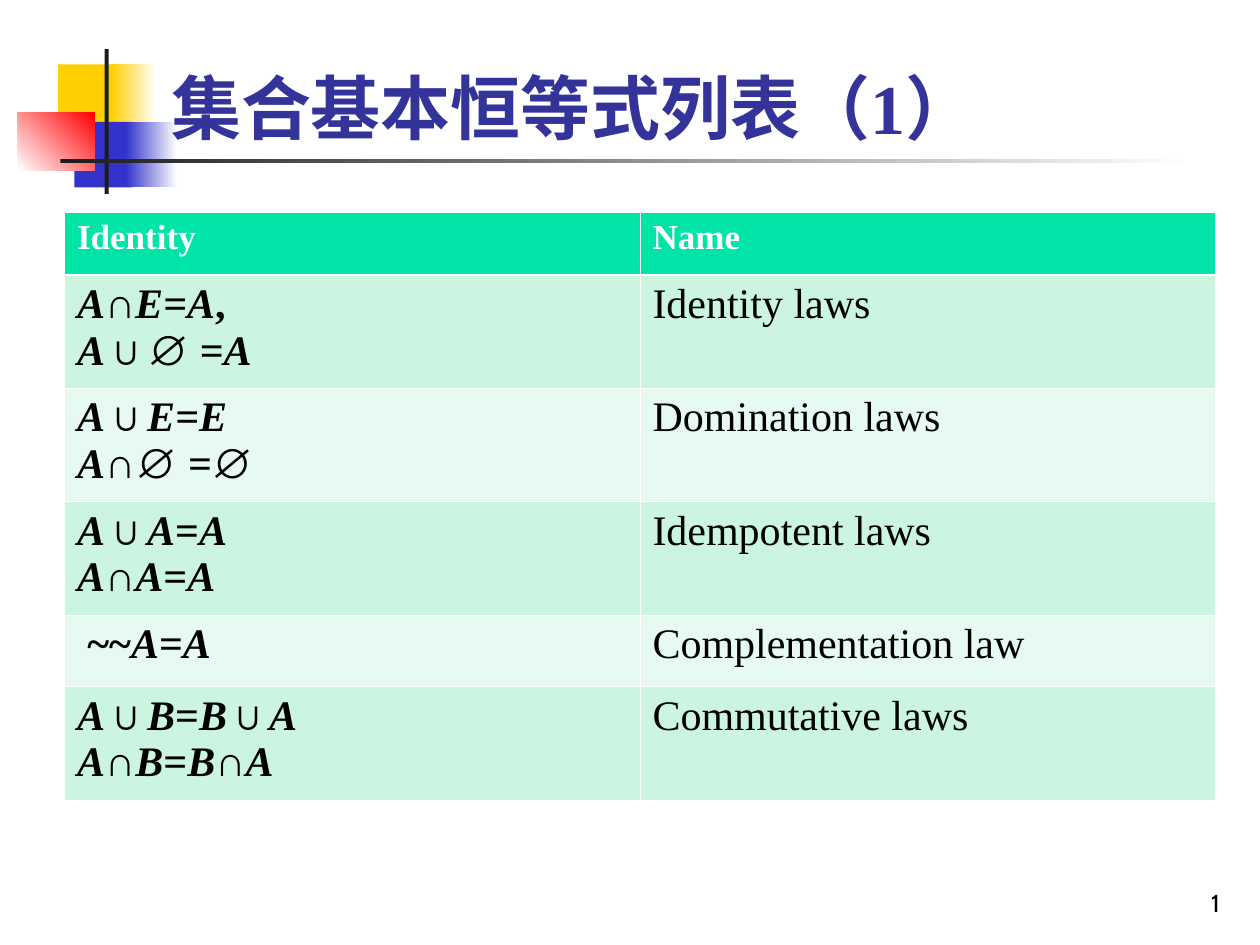
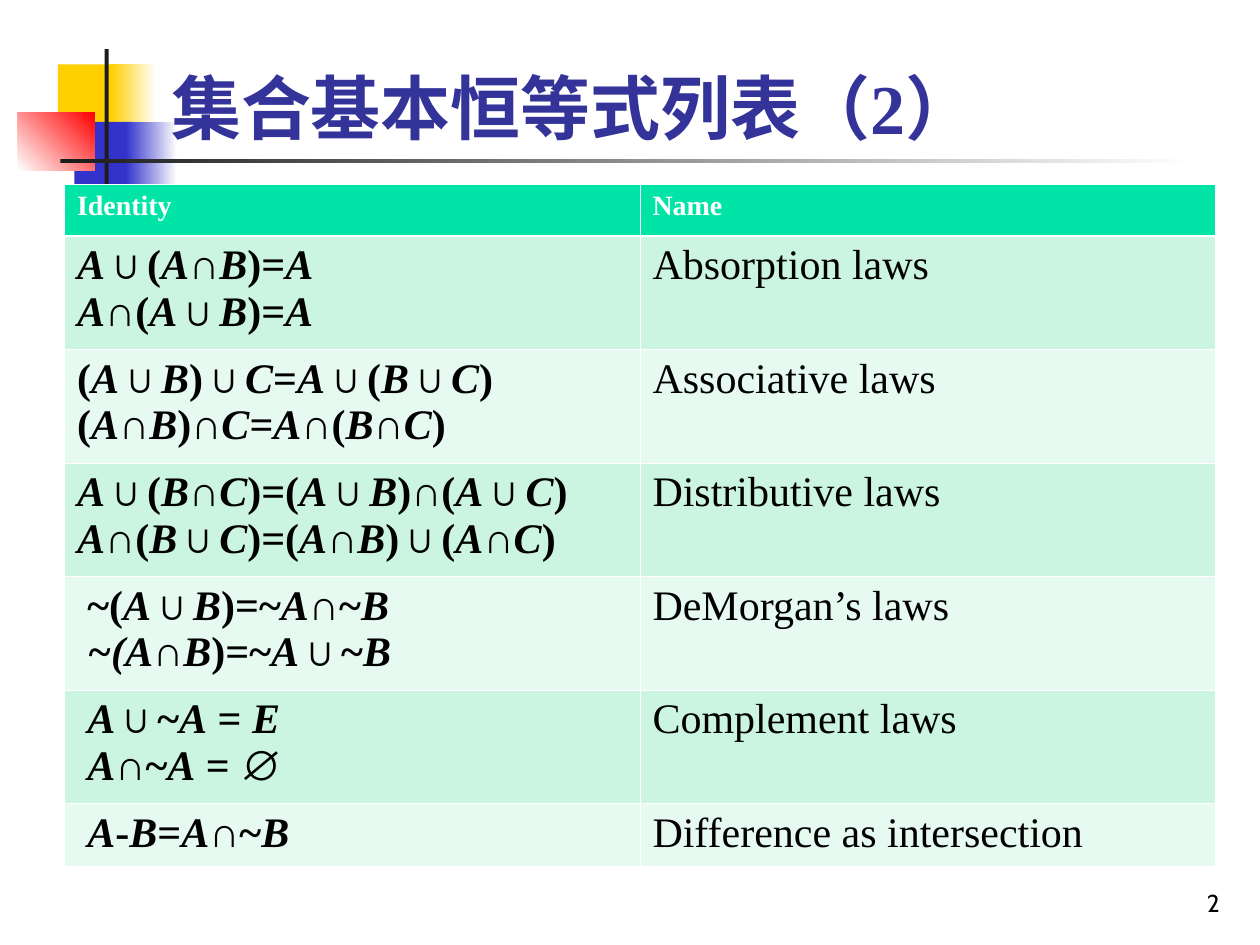
from dataclasses import dataclass
from itertools import groupby

from lxml import etree
from pptx import Presentation
from pptx.dml.color import RGBColor
from pptx.enum.shapes import MSO_SHAPE
from pptx.enum.text import MSO_ANCHOR, PP_ALIGN
from pptx.oxml.ns import qn
from pptx.util import Cm, Pt

RECTANGLE = MSO_SHAPE.RECTANGLE
BOTTOM = MSO_ANCHOR.BOTTOM
LEFT, RIGHT = PP_ALIGN.LEFT, PP_ALIGN.RIGHT
BLANK_LAYOUT = 6
EMPTY_SET = "∅"


@dataclass(frozen=True)
class Theme:
    white: str = "FFFFFF"
    black: str = "000000"
    ink: str = "1C1C1C"
    title: str = "333399"
    yellow: str = "FFCF01"
    blue: str = "3333CC"
    red: str = "FF0000"
    header: str = "00E4A8"
    bands: tuple = ("CBF5E1", "E7FAF1")
    font: str = "Times New Roman"
    symbol_font: str = "Arial"
    number_font: str = "Cabin"
    title_size: int = 40
    body_size: int = 24
    number_size: int = 14
    thin: float = 0.45
    thick: float = 1.47


class Deck:
    """Holds the theme and the slide being built."""

    def __init__(self, presentation, theme):
        self.presentation = presentation
        self.theme = theme
        self.slide = None

    def new_slide(self):
        layout = self.presentation.slide_layouts[BLANK_LAYOUT]
        self.slide = self.presentation.slides.add_slide(layout)

    def set_font(self, font, size, color, name, bold=False):
        font.size, font.name, font.bold = Pt(size), name, bold
        font.color.rgb = RGBColor.from_string(color)

    def block(self, left, top, width, height, color, end_color=None, angle=0):
        shape = self.slide.shapes.add_shape(
            RECTANGLE, Cm(left), Cm(top), Cm(width), Cm(height))
        shape.shadow.inherit = False
        shape.line.fill.background()
        if end_color is None:
            shape.fill.solid()
            shape.fill.fore_color.rgb = RGBColor.from_string(color)
            return
        shape.fill.gradient()
        shape.fill.gradient_angle = angle
        for stop, position, stop_color in zip(
                shape.fill.gradient_stops, (0, 1), (color, end_color)):
            stop.position = position
            stop.color.rgb = RGBColor.from_string(stop_color)

    def text(self, left, top, width, height, content, size, color, name,
             bold=False, align=LEFT):
        box = self.slide.shapes.add_textbox(
            Cm(left), Cm(top), Cm(width), Cm(height))
        frame = box.text_frame
        frame.word_wrap = True
        frame.vertical_anchor = BOTTOM
        paragraph = frame.paragraphs[0]
        paragraph.text = content
        paragraph.alignment = align
        self.set_font(paragraph.font, size, color, name, bold)

    def ornament(self):
        theme = self.theme
        self.block(1.17, 1.3, 1.22, 1.32, theme.yellow)
        self.block(2.24, 1.3, 0.91, 1.32, theme.yellow, theme.white)
        self.block(1.5, 2.46, 1.17, 1.32, theme.blue)
        self.block(2.54, 2.46, 1.02, 1.32, theme.blue, theme.white)
        self.block(0.36, 2.26, 1.55, 1.17, theme.white, theme.red, angle=45)
        self.block(2.11, 0.99, 0.08, 2.92, theme.ink)
        self.block(1.22, 3.2, 22.86, 0.08, theme.ink, theme.white)

    def formula(self, paragraph, content):
        """Letters are italic, as is all between bars; the rest is upright."""
        theme = self.theme
        self.set_font(paragraph.font, theme.body_size, theme.black,
                      theme.font, bold=True)
        for index, part in enumerate(content.split("|")):
            def style(char, all_italic=index % 2 == 1):
                is_symbol = char == EMPTY_SET
                return is_symbol, not is_symbol and (all_italic or char.isalpha())

            for (is_symbol, italic), chars in groupby(part, style):
                run = paragraph.add_run()
                run.text = "".join(chars)
                run.font.italic = italic
                if is_symbol:
                    run.font.name = theme.symbol_font

    def cell_style(self, cell, color, top, bottom):
        properties = cell._tc.get_or_add_tcPr()
        thin = self.theme.thin
        for side, width in zip("LRTB", (thin, thin, top, bottom)):
            line = etree.SubElement(properties, qn(f"a:ln{side}"), w=str(Pt(width)))
            fill = etree.SubElement(line, qn("a:solidFill"))
            etree.SubElement(fill, qn("a:srgbClr"), val=self.theme.white)
        cell.fill.solid()
        cell.fill.fore_color.rgb = RGBColor.from_string(color)

    def laws_table(self, top, header_size, heights, laws):
        theme = self.theme
        frame = self.slide.shapes.add_table(
            len(heights), 2, Cm(1.3), Cm(top), Cm(23.2), Cm(sum(heights)))
        table = frame.table
        table.horz_banding = False
        for row, height in zip(table.rows, heights):
            row.height = Cm(height)

        # Header row
        for cell, heading in zip(table.rows[0].cells, ("Identity", "Name")):
            self.cell_style(cell, theme.header, theme.thin, theme.thick)
            cell.text = heading
            self.set_font(cell.text_frame.paragraphs[0].font, header_size,
                          theme.white, theme.font, bold=True)

        # One row for each law
        for index, (name, indented, *formulas) in enumerate(laws):
            identity_cell, name_cell = table.rows[index + 1].cells
            top_width = theme.thick if index == 0 else theme.thin
            for cell in (identity_cell, name_cell):
                self.cell_style(cell, theme.bands[index % 2], top_width, theme.thin)
            if indented:
                identity_cell.margin_left = Cm(0.46)
            text_frame = identity_cell.text_frame
            for line, content in enumerate(formulas):
                paragraph = (text_frame.add_paragraph() if line
                             else text_frame.paragraphs[0])
                self.formula(paragraph, content)
            name_cell.text = name
            self.set_font(name_cell.text_frame.paragraphs[0].font,
                          theme.body_size, theme.black, theme.font)

    def laws_slide(self, number, top, header_size, heights, laws):
        theme = self.theme
        self.new_slide()
        self.ornament()
        self.text(3.2, 0.99, 21.64, 2.13, f"集合基本恒等式列表（{number}）",
                  theme.title_size, theme.title, theme.font, bold=True)
        self.laws_table(top, header_size, heights, laws)
        self.text(19.56, 17.35, 5.28, 1.27, str(number), theme.number_size,
                  theme.black, theme.number_font, align=RIGHT)


# Each law: name, whether its formulas are indented, formulas
BASIC_LAWS = [
    ("Identity laws", False, "|A∩E=A|,", "A∪∅ |=A|"),
    ("Domination laws", False, "A∪|E=E|", "|A∩|∅ |=|∅"),
    ("Idempotent laws", False, "A∪A=A", "A∩A=A"),
    ("Complementation law", True, "~~A=A"),
    ("Commutative laws", False, "A∪B=B∪A", "A∩B=B∩A"),
]
FURTHER_LAWS = [
    ("Absorption laws", False, "A∪(A∩B)=A", "A∩(A∪B)=A"),
    ("Associative laws", False, "(A∪B)∪C=A∪(B∪C)", "(A∩B)∩C=A∩(B∩C)"),
    ("Distributive laws", False,
     "A∪(B∩C)=(A∪B)∩(A∪C)", "A∩(B∪C)=(A∩B)∪(A∩C)"),
    ("DeMorgan’s laws", True, "~(A∪B)=~A∩~B", "|~(A|∩B)=~A∪~B"),
    ("Complement laws", True, "A∪~A = E", "A∩~A = ∅"),
    ("Difference as intersection", True, "A-B=A∩~B"),
]


def main():
    presentation = Presentation()
    presentation.slide_width, presentation.slide_height = Cm(25.4), Cm(19.05)
    deck = Deck(presentation, Theme())
    pair = 2.286  # height of a row with two formulas
    deck.laws_slide(1, 4.28, 20, [1.26, pair, pair, pair, 1.44, pair], BASIC_LAWS)
    deck.laws_slide(2, 3.72, 16, [1.04] + [pair] * 5 + [1.26], FURTHER_LAWS)
    presentation.save("out.pptx")


if __name__ == "__main__":
    main()
